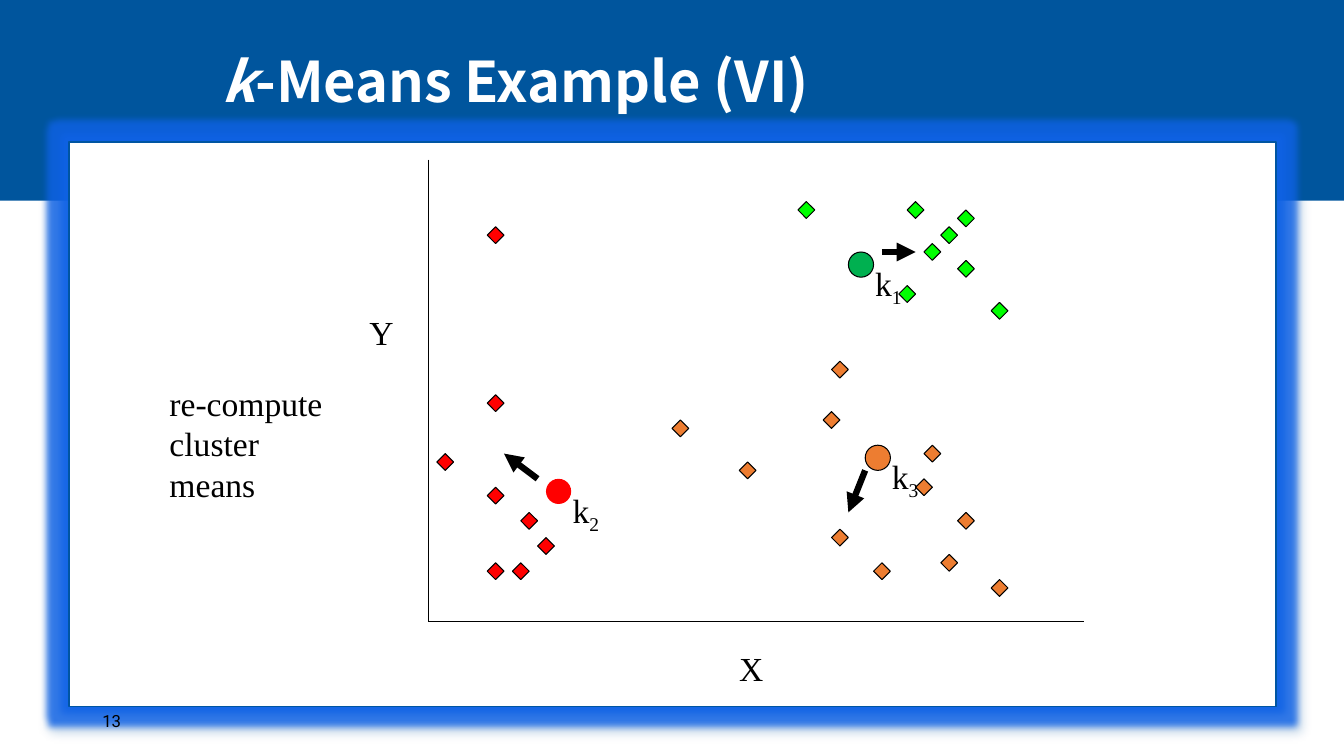
from lxml.etree import SubElement
from pptx import Presentation
from pptx.dml.color import RGBColor
from pptx.enum.shapes import MSO_CONNECTOR as Connector, MSO_SHAPE as Shape
from pptx.enum.text import MSO_ANCHOR as Anchor, PP_ALIGN as Align
from pptx.oxml import parse_xml
from pptx.oxml.ns import nsdecls, qn
from pptx.util import Inches, Pt

TITLE = ("k", "-Means Example (VI)")
NOTE = "re-compute cluster means"
PAGE_NUMBER = "13"

CLUSTERS = [
    {"name": "2", "color": "red", "mean": "red", "outlined": False,
     "center": (65, 57), "move": ((64, 57), (60, 54)),
     "points": [(62, 61), (64, 64), (61, 67), (58, 58),
                (58, 27), (58, 47), (58, 67), (52, 54)]},
    {"name": "3", "color": "orange", "mean": "orange", "outlined": True,
     "center": (103, 53), "move": ((103, 56), (101, 61)),
     "points": [(80, 50), (99, 43), (99, 63), (104, 67), (109, 57), (98, 49),
                (88, 55), (114, 61), (112, 66), (110, 53), (118, 69)]},
    {"name": "1", "color": "green", "mean": "dark_green", "outlined": True,
     "center": (101, 30), "move": ((105, 30), (109, 30)),
     "points": [(108, 24), (114, 25), (112, 27), (110, 29),
                (114, 31), (118, 36), (95, 24), (107, 34)]},
]
AXIS_TOP, ORIGIN, AXIS_RIGHT = (51, 19), (51, 74), (129, 74)
AXIS_LABELS = [("X", 86.8, 76.5), ("Y", 42.8, 36.6)]

THEME = {
    "red": "FF0000", "orange": "ED7D31", "green": "00FF00",
    "dark_green": "00B050", "band": "00559D", "edge": "0055A2",
    "glow": "0F62E6", "white": "FFFFFF", "black": "000000",
    "title_font": "Noto Sans CJK SC", "number_font": "Roboto",
    "body_font": "Times New Roman",
    "title_size": 40, "body_size": 24, "number_size": 12,
    "thin": 0.75, "border": 1, "thick": 4.5,
}

COLUMNS, ROWS = 160, 90
POINT_SIZE, MEAN_SIZE = 2, 3
CELL = Inches(1 / 12)


def grid(*lengths):
    return [round(length * CELL) for length in lengths]


def color(name):
    return RGBColor.from_string(THEME[name])


def style(span, font, size, ink="black"):
    span.font.name = THEME[font]
    span.font.size = Pt(THEME[size])
    span.font.color.rgb = color(ink)


def add_shape(page, kind, place, fill, line=None, width="thin"):
    shape = page.shapes.add_shape(kind, *grid(*place))
    shape.shadow.inherit = False
    shape.fill.solid()
    shape.fill.fore_color.rgb = color(fill)
    if line:
        shape.line.color.rgb = color(line)
        shape.line.width = Pt(THEME[width])
    else:
        shape.line.fill.background()
    return shape


def add_text(page, text, place, font="body_font", size="body_size", anchor=Anchor.TOP):
    box = page.shapes.add_textbox(*grid(*place))
    frame = box.text_frame
    frame.word_wrap = True
    frame.vertical_anchor = anchor
    frame.text = text
    para = frame.paragraphs[0]
    style(para.runs[0], font, size)
    return para


def add_line(page, start, end, width="thin", arrow=False):
    line = page.shapes.add_connector(Connector.STRAIGHT, *grid(*start, *end))
    line.line.color.rgb = color("black")
    line.line.width = Pt(THEME[width])
    if arrow:
        SubElement(line.line._get_or_add_ln(), qn("a:tailEnd"), type="triangle")
    SubElement(line.element.spPr, qn("a:effectLst"))


def add_glow(shape):
    effects = parse_xml(
        f'<a:effectLst {nsdecls("a")}>'
        f'<a:glow rad="{Pt(10)}"><a:srgbClr val="{THEME["glow"]}">'
        '<a:alpha val="80000"/></a:srgbClr></a:glow>'
        f'<a:outerShdw blurRad="{Pt(4)}" dist="{Pt(3)}" dir="2700000">'
        f'<a:srgbClr val="{THEME["edge"]}"><a:alpha val="40000"/></a:srgbClr>'
        '</a:outerShdw></a:effectLst>')
    old = shape.element.spPr.find(qn("a:effectLst"))
    old.getparent().replace(old, effects)


def add_title(page):
    title = page.shapes.title
    title.element.getparent().append(title.element)
    title.left, title.top, title.width, title.height = grid(25.2, 2.5, 108.1, 15.1)
    title.text_frame.vertical_anchor = Anchor.MIDDLE
    title.text_frame.word_wrap = True
    para = title.text_frame.paragraphs[0]
    para.alignment = Align.LEFT
    para.line_spacing = 0.9
    for text in TITLE:
        span = para.add_run()
        span.text = text
        style(span, "title_font", "title_size", "white")
        span.font.bold = True
        span.font.italic = text == TITLE[0]


def add_mean(page, cluster):
    left, top = cluster["center"]
    outline = "black" if cluster["outlined"] else None
    add_shape(page, Shape.OVAL, (left, top, MEAN_SIZE, MEAN_SIZE),
              cluster["mean"], outline)
    para = add_text(page, "k", (left + 2, top + 1, 7, 6), anchor=Anchor.MIDDLE)
    index = para.add_run()
    index.text = cluster["name"]
    style(index, "body_font", "body_size")
    index.font._element.set("baseline", "-25000")


def main():
    deck = Presentation()
    deck.slide_width, deck.slide_height = grid(COLUMNS, ROWS)
    page = deck.slides.add_slide(deck.slide_layouts[5])

    add_shape(page, Shape.RECTANGLE, (0, 0, COLUMNS, 23.9), "band")
    panel = add_shape(page, Shape.RECTANGLE, (8.2, 16.9, 143.7, 67.2),
                      "white", "edge", "border")
    add_glow(panel)
    add_text(page, PAGE_NUMBER, (11, 83.4, 36, 4.8),
             "number_font", "number_size", Anchor.MIDDLE)
    add_title(page)

    for cluster in CLUSTERS:
        for point in cluster["points"]:
            add_shape(page, Shape.DIAMOND, (*point, POINT_SIZE, POINT_SIZE),
                      cluster["color"], "black")
        add_line(page, *cluster["move"], "thick", arrow=True)

    add_line(page, AXIS_TOP, ORIGIN)
    add_line(page, ORIGIN, AXIS_RIGHT)
    for text, left, top in AXIS_LABELS:
        add_text(page, text, (left, top, 6, 6))
    add_text(page, NOTE, (19, 45, 24, 15.7))
    for cluster in CLUSTERS:
        add_mean(page, cluster)

    deck.save("out.pptx")


if __name__ == "__main__":
    main()
